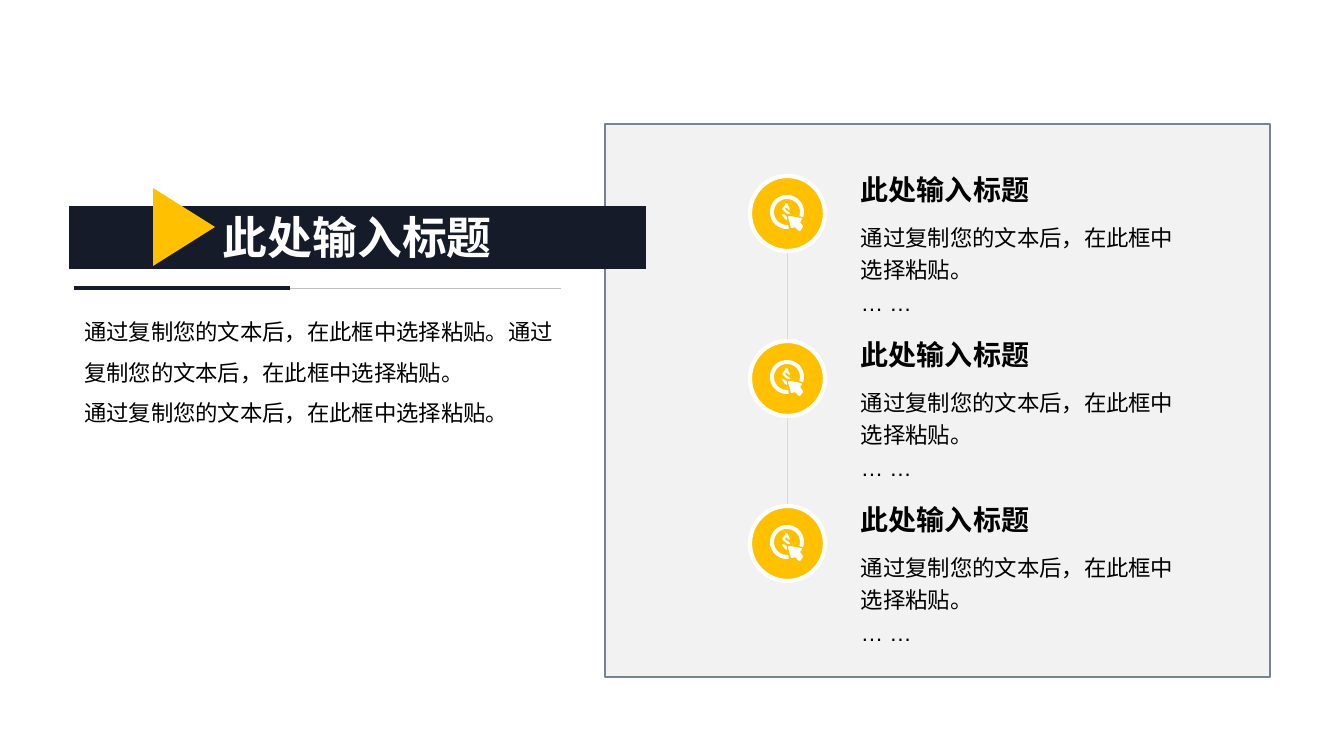
import math

from pptx import Presentation
from pptx import util as u
from pptx.dml.color import RGBColor
from pptx.enum import shapes, text
from pptx.oxml.ns import qn
from lxml import etree

PX = 9525 * 20 / 21  # 100.8 px to the inch
NAVY = RGBColor(0x15, 0x1B, 0x29)
GOLD = RGBColor(0xFF, 0xC0, 0x00)
WHITE = RGBColor(0xFF, 0xFF, 0xFF)
BLACK = RGBColor(0x00, 0x00, 0x00)
PANEL_GREY = RGBColor(0xF2, 0xF2, 0xF2)
PANEL_EDGE = RGBColor(0x76, 0x83, 0x95)
RULE_GREY = RGBColor(0xBF, 0xBF, 0xBF)
TIMELINE_GREY = RGBColor(0xD9, 0xD9, 0xD9)

HEADING = "此处输入标题"
SENTENCE = "通过复制您的文本后，在此框中选择粘贴。"

# Icon outlines in px from the icon's top left corner
CURSOR = [(20, 21), (31, 23), (32, 24), (31, 26), (30, 27), (33, 31), (33, 32),
          (30, 36), (29, 36), (25, 32), (23, 33), (21, 33), (18, 22), (19, 21)]
DOLLAR_TOP = [(16, 8), (18, 9), (18, 10), (20, 14), (19, 15), (18, 14), (16, 12), (15, 14),
              (16, 15), (20, 18), (20, 19), (18, 19), (16, 18), (12, 14), (15, 10), (15, 9)]
DOLLAR_BOTTOM = [(13, 19), (15, 20), (17, 22), (17, 25), (15, 24), (12, 20)]
sweep = [math.radians(angle) for angle in range(18, -281, -6)]
RING = [(17 + radius * math.cos(angle), 17 + radius * math.sin(angle))
        for radius, angles in ((17, sweep), (13, sweep[::-1])) for angle in angles]


def style(shape, fill, edge=None, width=0):
    shape.shadow.inherit = False
    shape.fill.solid()
    shape.fill.fore_color.rgb = fill
    if edge is None:
        shape.line.fill.background()
    else:
        shape.line.color.rgb = edge
        shape.line.width = u.Pt(width)


def write(shape, lines, size, color=BLACK, bold=False, spacing=1.0,
          anchor=text.MSO_ANCHOR.TOP, align=text.PP_ALIGN.LEFT):
    frame = shape.text_frame
    frame.word_wrap = True
    frame.auto_size = text.MSO_AUTO_SIZE.NONE
    frame.vertical_anchor = anchor
    for index, line in enumerate(lines):
        paragraph = frame.add_paragraph() if index else frame.paragraphs[0]
        paragraph.alignment = align
        paragraph.line_spacing = spacing
        paragraph.space_before = u.Pt(0)
        run = paragraph.add_run()
        run.text = line
        run.font.name = "Arial"
        run.font.size = u.Pt(size)
        run.font.bold = bold
        run.font.color.rgb = color


presentation = Presentation()
presentation.slide_width = u.Emu(round(1344 * PX))
presentation.slide_height = u.Emu(round(756 * PX))
slide = presentation.slides.add_slide(presentation.slide_layouts[1])
title, body = slide.placeholders

# Panel, kept behind the title banner
panel = slide.shapes.add_shape(shapes.MSO_SHAPE.RECTANGLE,
                               *[round(n * PX) for n in (605, 124, 665, 553)])
style(panel, PANEL_GREY, PANEL_EDGE, 1)
title.element.addprevious(panel.element)

# Title banner and introduction
for placeholder, box in ((title, (69, 206, 577, 63)), (body, (74, 300, 503, 109))):
    (placeholder.left, placeholder.top,
     placeholder.width, placeholder.height) = [round(n * PX) for n in box]
title.fill.solid()
title.fill.fore_color.rgb = NAVY
write(title, [HEADING], 32, WHITE, True,
      anchor=text.MSO_ANCHOR.BOTTOM, align=text.PP_ALIGN.CENTER)
write(body, [SENTENCE * 2, SENTENCE], 16, spacing=1.5)
for paragraph in body.text_frame.paragraphs:
    properties = paragraph._p.get_or_add_pPr()
    properties.set("marL", "0")
    properties.set("indent", "0")
    etree.SubElement(properties, qn("a:buNone"))

triangle = slide.shapes.add_shape(shapes.MSO_SHAPE.ISOSCELES_TRIANGLE,
                                  *[round(n * PX) for n in (145, 196, 78, 62)])
triangle.rotation = 90
style(triangle, GOLD)

# Divider under the banner, and the timeline
for ends, color, width in (((74, 288, 561, 288), RULE_GREY, 0.25),
                           ((74, 288, 290, 288), NAVY, 2.25),
                           ((787, 251, 787, 506), TIMELINE_GREY, 0.5)):
    line = slide.shapes.add_connector(shapes.MSO_CONNECTOR.STRAIGHT,
                                      *[round(n * PX) for n in ends])
    line.line.color.rgb = color
    line.line.width = u.Pt(width)
    etree.SubElement(line.element.spPr, qn("a:effectLst"))

# Timeline entries
for entry in range(3):
    top = 176 + 165 * entry
    disc = slide.shapes.add_shape(shapes.MSO_SHAPE.OVAL,
                                  *[round(n * PX) for n in (750, top, 75, 75)])
    style(disc, GOLD, WHITE, 3)

    builder = None
    for outline in (CURSOR, DOLLAR_BOTTOM, DOLLAR_TOP, RING):
        points = [((770 + x) * PX, (top + 19 + y) * PX) for x, y in outline]
        if builder is None:
            builder = slide.shapes.build_freeform(*points[0])
        else:
            builder.move_to(*points[0])
        builder.add_line_segments(points[1:], close=True)
    style(builder.convert_to_shape(), WHITE)

    heading = slide.shapes.add_textbox(*[round(n * PX) for n in (851, top - 11, 354, 48)])
    write(heading, [HEADING], 20, bold=True, anchor=text.MSO_ANCHOR.MIDDLE)
    detail = slide.shapes.add_textbox(*[round(n * PX) for n in (851, top + 38, 354, 94)])
    write(detail, [SENTENCE, "… …"], 16, spacing=1.2)

presentation.save("out.pptx")
